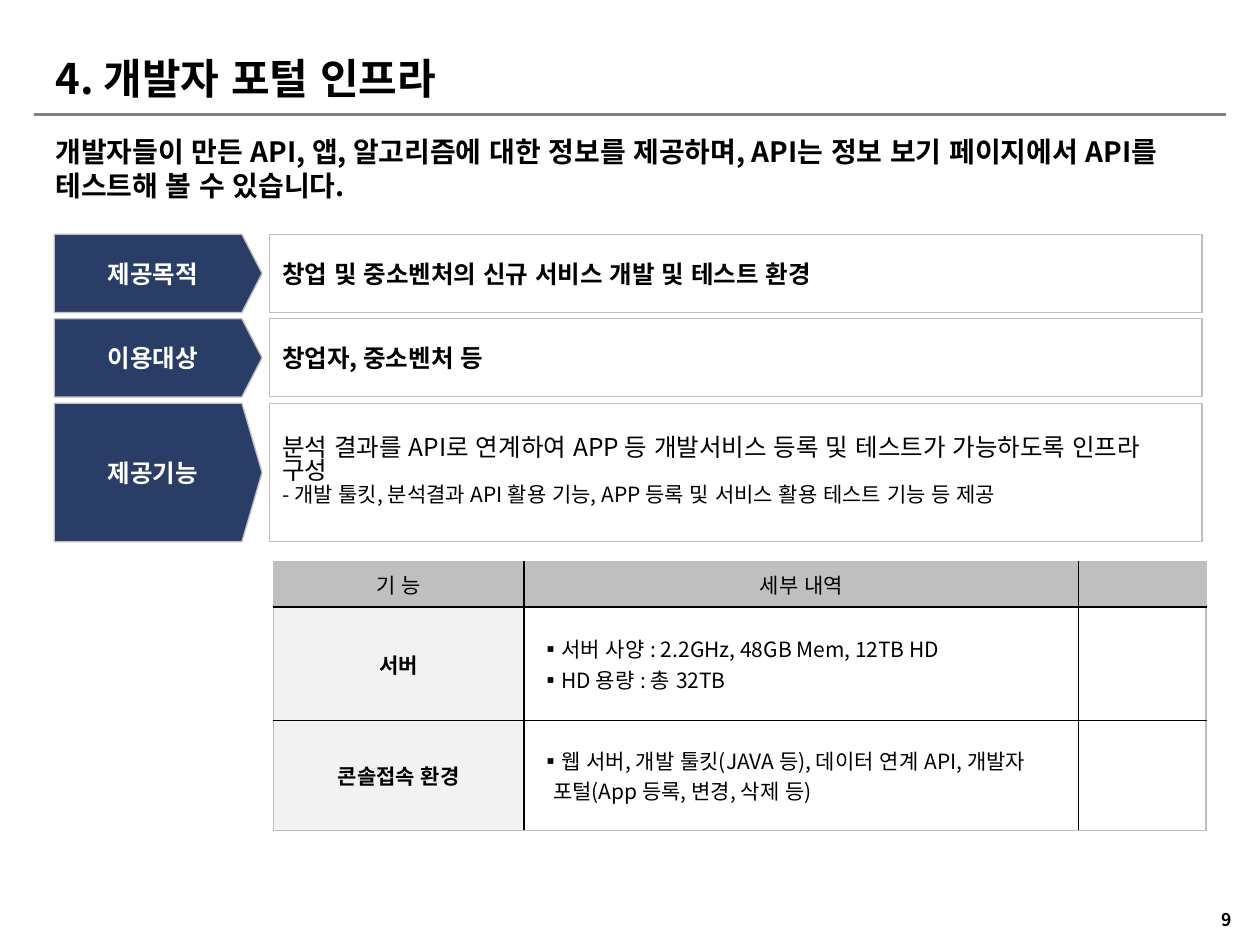
from typing import NamedTuple

from lxml import etree
from pptx import Presentation, util as u
from pptx.dml.color import RGBColor
from pptx.enum import lang, shapes, text
from pptx.oxml import ns

FACE = "Noto Sans CJK KR"
BLACK, WHITE, NAVY = "000000", "FFFFFF", "2A3D66"
GREY, PALE, RULE = "BFBFBF", "F2F2F2", "808080"
LEFT, MID = text.PP_ALIGN.LEFT, text.PP_ALIGN.CENTER


class Line(NamedTuple):
    words: str
    size: float = 14
    bold: bool = False
    hue: str = BLACK
    align: text.PP_ALIGN = LEFT
    lead: float = 1.0
    mark: str = ""


class Band(NamedTuple):
    label: str
    top: float
    high: float
    lines: list[Line]


class Cell(NamedTuple):
    lines: list[Line]
    fill: str = ""


def color(code: str) -> RGBColor:
    return RGBColor.from_string(code)


def add(parent, tag: str, **attrs: str):
    return etree.SubElement(parent, ns.qn(tag), attrs)


def bullet(para, mark: str) -> None:
    """Give the paragraph a hanging mark, or none."""
    props = para._p.get_or_add_pPr()
    hang = u.Inches(0.1) if mark else 0
    props.set("marL", str(hang))
    props.set("indent", str(-hang))
    if mark:
        add(props, "a:buFont", typeface=FACE)
        add(props, "a:buChar", char=mark)
    else:
        add(props, "a:buNone")


def write(frame, lines: list[Line]) -> None:
    frame.text = "\n".join(line.words for line in lines)
    for para, line in zip(frame.paragraphs, lines):
        bullet(para, line.mark)
        para.alignment, para.line_spacing = line.align, line.lead
        para.space_before = u.Pt(0)
        for run in para.runs:
            font = run.font
            font.name, font.size, font.bold = FACE, u.Pt(line.size), line.bold
            font.color.rgb = color(line.hue)
            font.language_id = lang.MSO_LANGUAGE_ID.KOREAN
            add(run._r.get_or_add_rPr(), "a:ea", typeface=FACE)


def place(shape, x: float, y: float, w: float, h: float) -> None:
    shape.left, shape.top = u.Inches(x), u.Inches(y)
    shape.width, shape.height = u.Inches(w), u.Inches(h)


def block(slide, kind, box: tuple, fill: str, lines: list[Line]):
    shape = slide.shapes.add_shape(kind, *map(u.Inches, box))
    shape.shadow.inherit = False
    if fill:
        shape.fill.solid()
        shape.fill.fore_color.rgb = color(fill)
    else:
        shape.fill.background()
    shape.line.color.rgb, shape.line.width = color(GREY), u.Pt(0.75)
    shape.text_frame.vertical_anchor = text.MSO_ANCHOR.MIDDLE
    write(shape.text_frame, lines)
    return shape


def band(slide, item: Band) -> None:
    tag = block(slide, shapes.MSO_SHAPE.PENTAGON, (0.43, item.top, 1.65, item.high),
                NAVY, [Line(item.label, bold=True, hue=WHITE, align=MID)])
    tag.adjustments[0] = 0.16 / item.high
    block(slide, shapes.MSO_SHAPE.RECTANGLE, (2.14, item.top, 7.4, item.high),
          "", item.lines)


def border(cell, side: str, hue: str, width: float) -> None:
    edge = add(cell._tc.get_or_add_tcPr(), f"a:ln{side}", w=str(u.Pt(width)))
    add(add(edge, "a:solidFill"), "a:srgbClr", val=hue)


def grid(slide, rows: list[list[Cell]], wide: list[float], high: list[float]) -> None:
    frame = slide.shapes.add_table(len(rows), len(wide), u.Inches(2.17), u.Inches(4.46),
                                   u.Inches(sum(wide)), u.Inches(sum(high)))
    table = frame.table
    table.first_row = table.horz_banding = False
    for col, size in zip(table.columns, wide):
        col.width = u.Inches(size)
    for row, size in zip(table.rows, high):
        row.height = u.Inches(size)
    for r, row in enumerate(rows):
        for c, item in enumerate(row):
            cell = table.cell(r, c)
            cell.vertical_anchor = text.MSO_ANCHOR.MIDDLE
            cell.margin_left = cell.margin_right = u.Inches(0.13)
            cell.margin_top = cell.margin_bottom = u.Inches(0.05 if item.lines else 0)
            if item.lines:
                write(cell.text_frame, item.lines)
            outer = {"L": c == 0, "R": c == len(wide) - 1,
                     "T": r == 0, "B": r == len(rows) - 1}
            for side, out in outer.items():
                head = (r, side) in ((0, "B"), (1, "T"))
                border(cell, side, GREY if out else BLACK, 1.5 if head else 1)
            if item.fill:
                cell.fill.solid()
                cell.fill.fore_color.rgb = color(item.fill)
            else:
                cell.fill.background()


def holder(shape, box: tuple, line: Line, anchor) -> None:
    place(shape, *box)
    frame = shape.text_frame
    frame.word_wrap, frame.auto_size = True, text.MSO_AUTO_SIZE.NONE
    frame.vertical_anchor = anchor
    write(frame, [line])


def head(words: str) -> Cell:
    return Cell([Line(words, 12, align=MID)] if words else [], GREY)


def name(words: str) -> Cell:
    return Cell([Line(words, 12, True, align=MID)], PALE)


def points(*items: str) -> Cell:
    return Cell([Line(item, 12, mark="▪") for item in items])


BANDS = [
    Band("제공목적", 1.86, 0.62,
         [Line("창업 및 중소벤처의 신규 서비스 개발 및 테스트 환경", bold=True)]),
    Band("이용대상", 2.53, 0.62, [Line("창업자, 중소벤처 등", bold=True)]),
    Band("제공기능", 3.2, 1.1, [
        Line("분석 결과를 API로 연계하여 APP 등 개발서비스 등록 및 테스트가 "
             "가능하도록 인프라 구성", lead=0.8),
        Line("- 개발 툴킷, 분석결과 API 활용 기능, APP 등록 및 서비스 활용 "
             "테스트 기능 등 제공", 12, lead=0.9)]),
]
ROWS = [
    [head("기 능"), head("세부 내역"), head("")],
    [name("서버"), points("서버 사양 : 2.2GHz, 48GB Mem, 12TB HD", "HD 용량 : 총 32TB"),
     Cell([])],
    [name("콘솔접속 환경"),
     points("웹 서버, 개발 툴킷(JAVA 등), 데이터 연계 API, "
            "개발자 포털(App 등록, 변경, 삭제 등)"), Cell([])],
]


def main() -> None:
    deck = Presentation()
    deck.slide_width, deck.slide_height = u.Inches(10), u.Inches(7.5)
    slide = deck.slides.add_slide(deck.slide_layouts[1])
    rule = slide.shapes.add_connector(shapes.MSO_CONNECTOR.STRAIGHT, u.Inches(0.27),
                                      u.Inches(0.91), u.Inches(9.73), u.Inches(0.91))
    rule.line.color.rgb, rule.line.width = color(RULE), u.Pt(1.5)
    add(rule._element.spPr, "a:effectLst")
    holder(slide.shapes.title, (0.34, 0.36, 6.09, 0.52),
           Line("4. 개발자 포털 인프라", 24, True), text.MSO_ANCHOR.MIDDLE)
    holder(slide.placeholders[1], (0.34, 1.02, 9.35, 0.75),
           Line("개발자들이 만든 API, 앱, 알고리즘에 대한 정보를 제공하며, API는 정보 보기 "
                "페이지에서 API를 테스트해 볼 수 있습니다.", 16, True), text.MSO_ANCHOR.TOP)
    for item in BANDS:
        band(slide, item)
    grid(slide, ROWS, [1.99, 4.4, 1.01], [0.36, 0.9, 0.87])
    page = slide.shapes.add_textbox(0, 0, 0, 0)
    holder(page, (9.54, 7.1, 0.39, 0.39), Line("9", 10, True, align=MID),
           text.MSO_ANCHOR.MIDDLE)
    deck.save("out.pptx")


if __name__ == "__main__":
    main()
